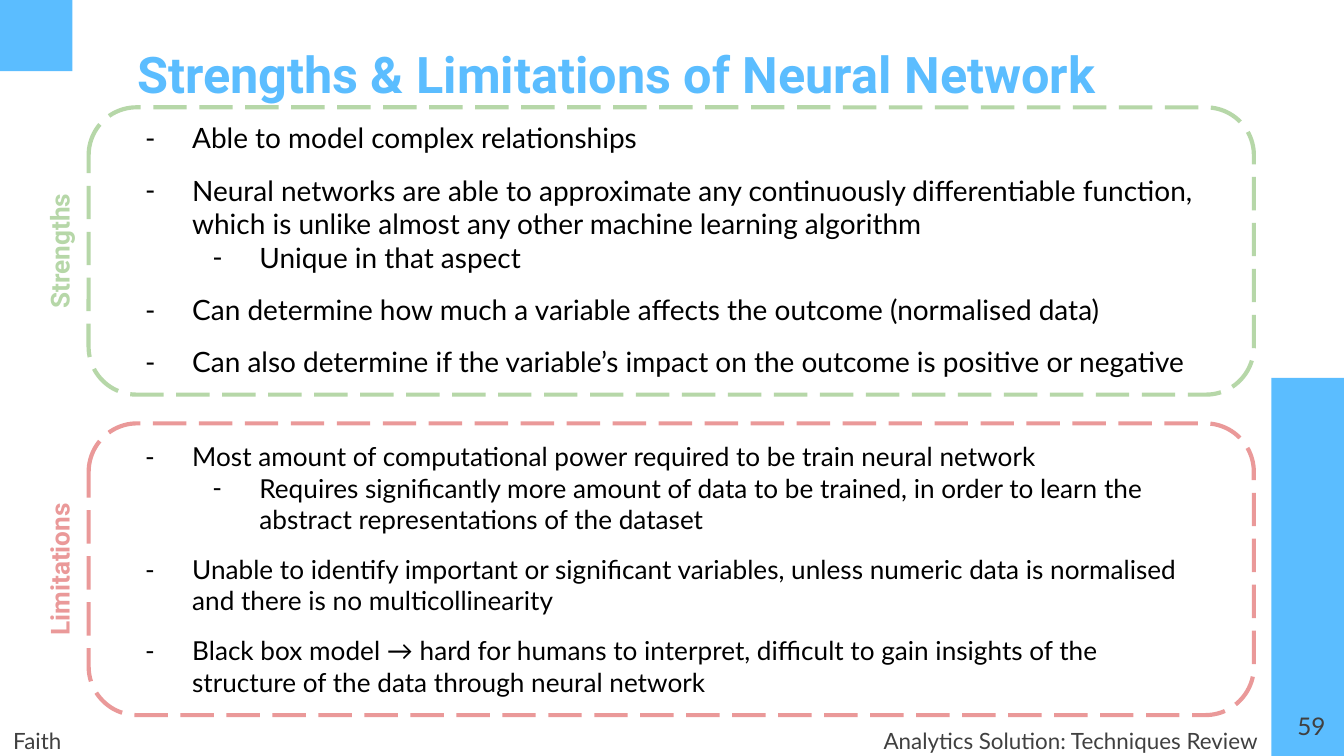
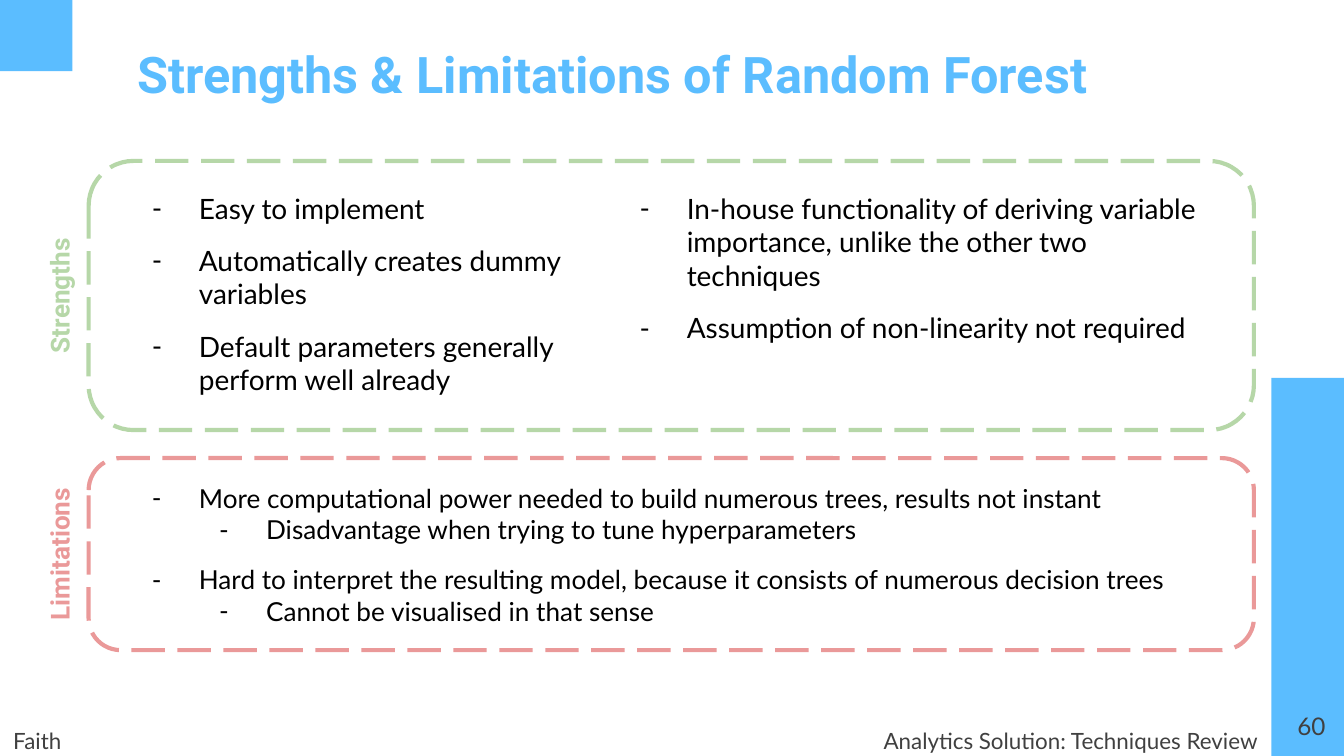
from lxml.etree import SubElement
from pptx import Presentation
from pptx.dml.color import RGBColor
from pptx.enum.dml import MSO_LINE_DASH_STYLE as Dash
from pptx.enum.shapes import MSO_SHAPE as Preset
from pptx.enum.text import MSO_ANCHOR as Anchor, MSO_AUTO_SIZE as AutoSize, PP_ALIGN as Align
from pptx.oxml.ns import qn
from pptx.util import Inches, Pt

SLIDE_WIDTH, SLIDE_HEIGHT = Inches(10), Inches(5.625)
COLUMN, ROW = SLIDE_WIDTH / 100, SLIDE_HEIGHT / 100
COLORS = {
    "accent": "5BBDFF",
    "Strengths": "B6D7A8",
    "Limitations": "EA9999",
    "body": "000000",
    "footer": "404040",
}
FORMATS = {
    "title": {"name": "Roboto", "size": Pt(27), "bold": True},
    "label": {"name": "Roboto", "size": Pt(14), "bold": True},
    "Strengths": {"name": "Lato", "size": Pt(15), "bold": False},
    "Limitations": {"name": "Lato", "size": Pt(14), "bold": False},
    "footer": {"name": "Lato", "size": Pt(12)},
    "number": {"name": "Lato", "size": Pt(13)},
}
PANEL_LEFT, PANEL_WIDTH = 6.6, 86.7
LABEL_CENTER, LABEL_HEIGHT = 4.4, 7.8
INDENT, HANGING, GAP = Inches(0.5), Inches(-0.35), Pt(10)

SLIDES = [
    {
        "title": "Strengths & Limitations of Neural Network",
        "number": 59,
        "panels": [("Strengths", 14.2, 38, 14.4), ("Limitations", 56, 38.6, 24.1)],
        "lists": [
            ("Strengths", (8.3, 14.2, 82.5, 38), [
                (0, "Able to model complex relationships"),
                (0, "Neural networks are able to approximate any continuously differentiable function, "
                    "which is unlike almost any other machine learning algorithm"),
                (1, "Unique in that aspect"),
                (0, "Can determine how much a variable affects the outcome (normalised data)"),
                (0, "Can also determine if the variable’s impact on the outcome is positive or negative"),
            ]),
            ("Limitations", (8.3, 56.5, 82.5, 37.9), [
                (0, "Most amount of computational power required to be train neural network"),
                (1, "Requires significantly more amount of data to be trained, in order to learn the "
                    "abstract representations of the dataset"),
                (0, "Unable to identify important or significant variables, unless numeric data is "
                    "normalised and there is no multicollinearity"),
                (0, "Black box model → hard for humans to interpret, difficult to gain insights of the "
                    "structure of the data through neural network"),
            ]),
        ],
    },
    {
        "title": "Strengths & Limitations of Random Forest",
        "number": 60,
        "panels": [("Strengths", 21.3, 35.6, 13.5), ("Limitations", 60.6, 25.4, 15.9)],
        "lists": [
            ("Strengths", (8.8, 23.5, 36.8, 31.1), [
                (0, "Easy to implement"),
                (0, "Automatically creates dummy variables"),
                (0, "Default parameters generally perform well already"),
            ]),
            ("Strengths", (45.1, 23.5, 46.2, 24), [
                (0, "In-house functionality of deriving variable importance, unlike the other two techniques"),
                (0, "Assumption of non-linearity not required"),
            ]),
            ("Limitations", (8.8, 62, 82.5, 22.8), [
                (0, "More computational power needed to build numerous trees, results not instant"),
                (1, "Disadvantage when trying to tune hyperparameters"),
                (0, "Hard to interpret the resulting model, because it consists of numerous decision trees"),
                (1, "Cannot be visualised in that sense"),
            ]),
        ],
    },
]


def color(key):
    return RGBColor.from_string(COLORS[key])


def apply(target, values):
    for name, value in values.items():
        setattr(target, name, value)


def grid(left, top, width, height):
    return [round(length) for length in (left * COLUMN, top * ROW, width * COLUMN, height * ROW)]


def move(shape, area):
    apply(shape, dict(zip(("left", "top", "width", "height"), grid(*area))))


def set_frame(shape, anchor):
    margins = dict.fromkeys(("margin_left", "margin_top", "margin_right", "margin_bottom"), Inches(0.1))
    apply(shape.text_frame, {"word_wrap": True, "auto_size": AutoSize.NONE, "vertical_anchor": anchor, **margins})


def write(paragraph, text, style, color_key):
    run = paragraph.add_run()
    run.text = text
    apply(run.font, FORMATS[style])
    run.font.color.rgb = color(color_key)


def add_text(shapes, area, text, style, color_key, align, anchor=Anchor.MIDDLE, spacing=1.0):
    shape = shapes.add_textbox(*grid(*area))
    set_frame(shape, anchor)
    paragraph = shape.text_frame.paragraphs[0]
    apply(paragraph, {"alignment": align, "line_spacing": spacing})
    write(paragraph, text, style, color_key)
    return shape


def add_band(slide, area):
    band = slide.shapes.add_shape(Preset.RECTANGLE, *grid(*area))
    band.shadow.inherit = False
    band.fill.solid()
    band.fill.fore_color.rgb = color("accent")
    band.line.fill.background()


def add_panel(slide, name, top, height, label_width):
    group = slide.shapes.add_group_shape()
    panel = group.shapes.add_shape(
        Preset.ROUNDED_RECTANGLE, *grid(PANEL_LEFT, top, PANEL_WIDTH, height))
    panel.shadow.inherit = False
    panel.fill.background()
    panel.line.color.rgb = color(name)
    apply(panel.line, {"width": Pt(2.25), "dash_style": Dash.LONG_DASH})
    label_area = (LABEL_CENTER - label_width / 2, top + (height - LABEL_HEIGHT) / 2,
                  label_width, LABEL_HEIGHT)
    label = add_text(group.shapes, label_area, name, "label", name, Align.CENTER)
    label.rotation = 270


def add_dash(paragraph, level):
    properties = paragraph._p.get_or_add_pPr()
    properties.set("marL", str(INDENT * (level + 1)))
    properties.set("indent", str(HANGING))
    bullet_color = SubElement(properties, qn("a:buClr"))
    SubElement(bullet_color, qn("a:srgbClr"), val=COLORS["body"])
    SubElement(properties, qn("a:buFont"), typeface="Lato")
    SubElement(properties, qn("a:buChar"), char="-")


def fill_list(placeholder, style, area, items):
    move(placeholder, area)
    set_frame(placeholder, Anchor.TOP)
    frame = placeholder.text_frame
    for index, (level, text) in enumerate(items):
        paragraph = frame.add_paragraph() if index else frame.paragraphs[0]
        add_dash(paragraph, level)
        apply(paragraph, {
            "level": level,
            "alignment": Align.LEFT,
            "line_spacing": 1.0,
            "space_before": GAP if index and level == 0 else Pt(0),
            "space_after": GAP if index == len(items) - 1 else Pt(0),
        })
        write(paragraph, text, style, "body")


def set_title(slide, text):
    title = slide.shapes.title
    move(title, (9.2, 3.9, 81.6, 13.2))
    set_frame(title, Anchor.TOP)
    paragraph = title.text_frame.paragraphs[0]
    paragraph.alignment = Align.LEFT
    write(paragraph, text, "title", "accent")


def add_footers(slide, number):
    add_text(slide.shapes, (93.6, 92.3, 6, 7.6), str(number), "number", "footer", Align.RIGHT, Anchor.TOP)
    for left, text, align in ((0, "Faith", Align.LEFT),
                              (60.8, "Analytics Solution: Techniques Review", Align.RIGHT)):
        add_text(slide.shapes, (left, 95.5, 33.8, 4.5), text, "footer", "footer", align, spacing=1.15)


def build_slide(presentation, content):
    slide = presentation.slides.add_slide(presentation.slide_layouts.get_by_name("Comparison"))
    add_band(slide, (94.6, 50, 5.4, 50))
    add_band(slide, (0, 0, 5.4, 9.4))
    for panel in content["panels"]:
        add_panel(slide, *panel)
    set_title(slide, content["title"])
    bodies = list(slide.placeholders)[1:]
    for body, entry in zip(bodies, content["lists"]):
        fill_list(body, *entry)
    for unused in bodies[len(content["lists"]):]:
        unused.element.getparent().remove(unused.element)
    add_footers(slide, content["number"])


def main():
    presentation = Presentation()
    apply(presentation, {"slide_width": SLIDE_WIDTH, "slide_height": SLIDE_HEIGHT})
    for content in SLIDES:
        build_slide(presentation, content)
    presentation.save("out.pptx")


if __name__ == "__main__":
    main()
